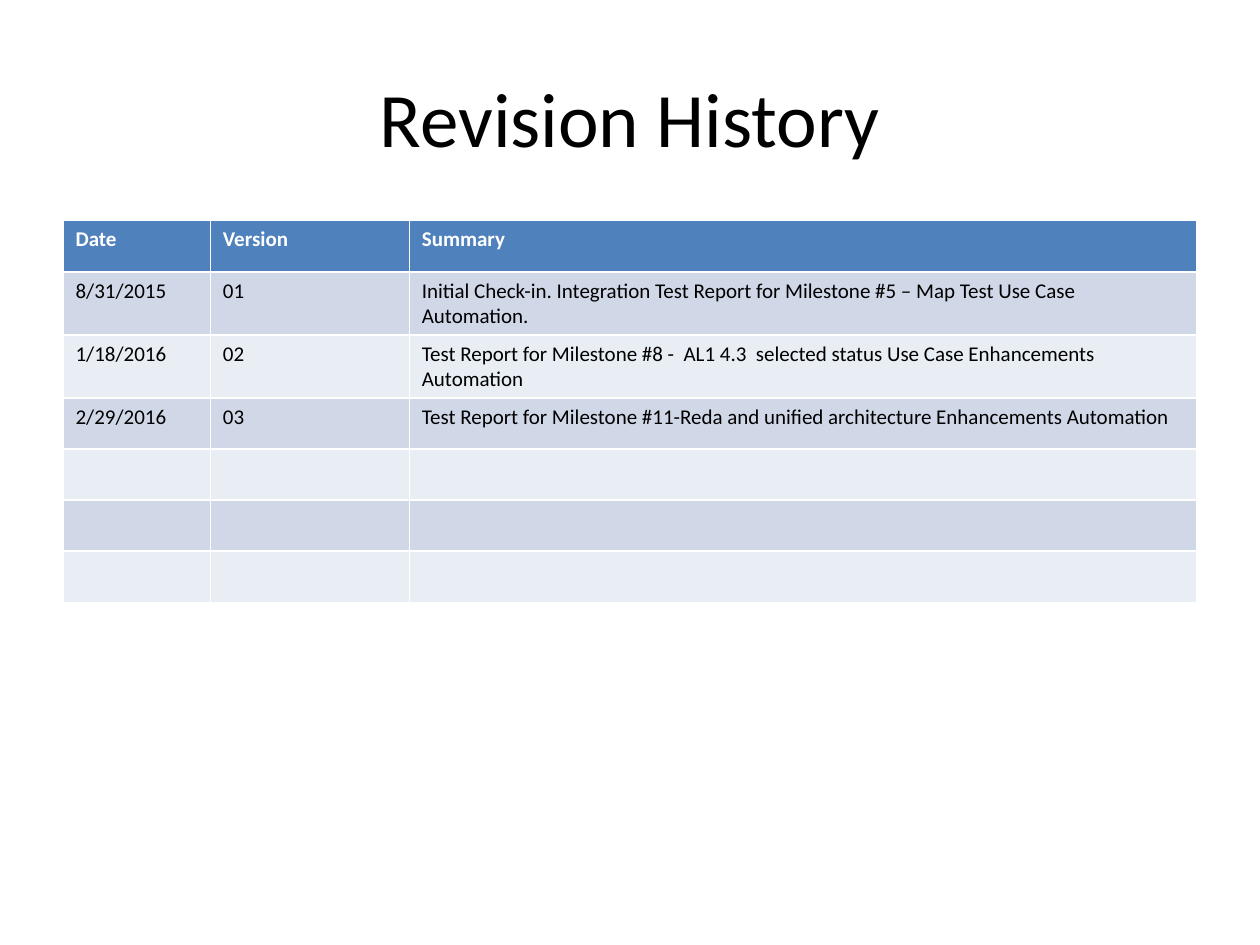
from dataclasses import dataclass

from pptx import Presentation
from pptx.dml.color import RGBColor
from pptx.enum.text import MSO_ANCHOR, PP_ALIGN
from pptx.util import Cm, Pt

MIDDLE = MSO_ANCHOR.MIDDLE
CENTER = PP_ALIGN.CENTER
LEFT = PP_ALIGN.LEFT
BLANK_LAYOUT = 6


@dataclass(frozen=True)
class Theme:
    font: str = "Calibri"
    title_size: int = 44
    table_size: int = 12
    ink: str = "000000"
    header_ink: str = "FFFFFF"
    header_fill: str = "4F81BD"
    band_fills: tuple = ("D0D8E8", "E9EDF4")


class SlideBuilder:
    """Holds the theme and the current slide."""

    def __init__(self, slide, theme):
        self.slide = slide
        self.theme = theme

    def set_text(self, frame, text, size, color, bold=False, align=LEFT):
        paragraph = frame.paragraphs[0]
        paragraph.text = text
        paragraph.alignment = align
        font_format = {"name": self.theme.font, "size": Pt(size), "bold": bold}
        for font in (paragraph.font, *(run.font for run in paragraph.runs)):
            for attribute, value in font_format.items():
                setattr(font, attribute, value)
            font.color.rgb = RGBColor.from_string(color)

    def title(self, text, left, top, width, height):
        frame = self.slide.shapes.add_textbox(
            Cm(left), Cm(top), Cm(width), Cm(height)).text_frame
        for attribute, value in {"word_wrap": True, "vertical_anchor": MIDDLE}.items():
            setattr(frame, attribute, value)
        self.set_text(frame, text, self.theme.title_size, self.theme.ink, align=CENTER)

    def table(self, rows, left, top, column_widths, row_height):
        # The default table style supplies the white cell borders
        table = self.slide.shapes.add_table(
            len(rows), len(column_widths), Cm(left), Cm(top),
            Cm(sum(column_widths)), Cm(row_height * len(rows))).table
        for column, width in zip(table.columns, column_widths):
            column.width = Cm(width)
        for row_index, (row, texts) in enumerate(zip(table.rows, rows)):
            row.height = Cm(row_height)
            is_header = row_index == 0
            fill = (self.theme.header_fill if is_header
                    else self.theme.band_fills[(row_index - 1) % 2])
            ink = self.theme.header_ink if is_header else self.theme.ink
            for cell, text in zip(row.cells, texts):
                cell.fill.solid()
                cell.fill.fore_color.rgb = RGBColor.from_string(fill)
                self.set_text(cell.text_frame, text, self.theme.table_size, ink, is_header)


# Revision entries, followed by free rows
HEADINGS = ("Date", "Version", "Summary")
REVISIONS = [
    ("8/31/2015", "01", "Initial Check-in. Integration Test Report for "
     "Milestone #5 – Map Test Use Case Automation."),
    ("1/18/2016", "02", "Test Report for Milestone #8 -  AL1 4.3  selected "
     "status Use Case Enhancements Automation"),
    ("2/29/2016", "03", "Test Report for Milestone #11-Reda and unified "
     "architecture Enhancements Automation"),
]
FREE_ROWS = [("", "", "")] * 3

presentation = Presentation()
presentation.slide_width = Cm(25.4)
presentation.slide_height = Cm(19.05)
builder = SlideBuilder(
    presentation.slides.add_slide(presentation.slide_layouts[BLANK_LAYOUT]), Theme())

# Heading
builder.title("Revision History", 1.27, 0.76, 22.86, 3.18)

# Revision table
builder.table([HEADINGS, *REVISIONS, *FREE_ROWS], 1.27, 4.45,
              column_widths=(2.97, 4.01, 15.88), row_height=1.03)

presentation.save("out.pptx")
